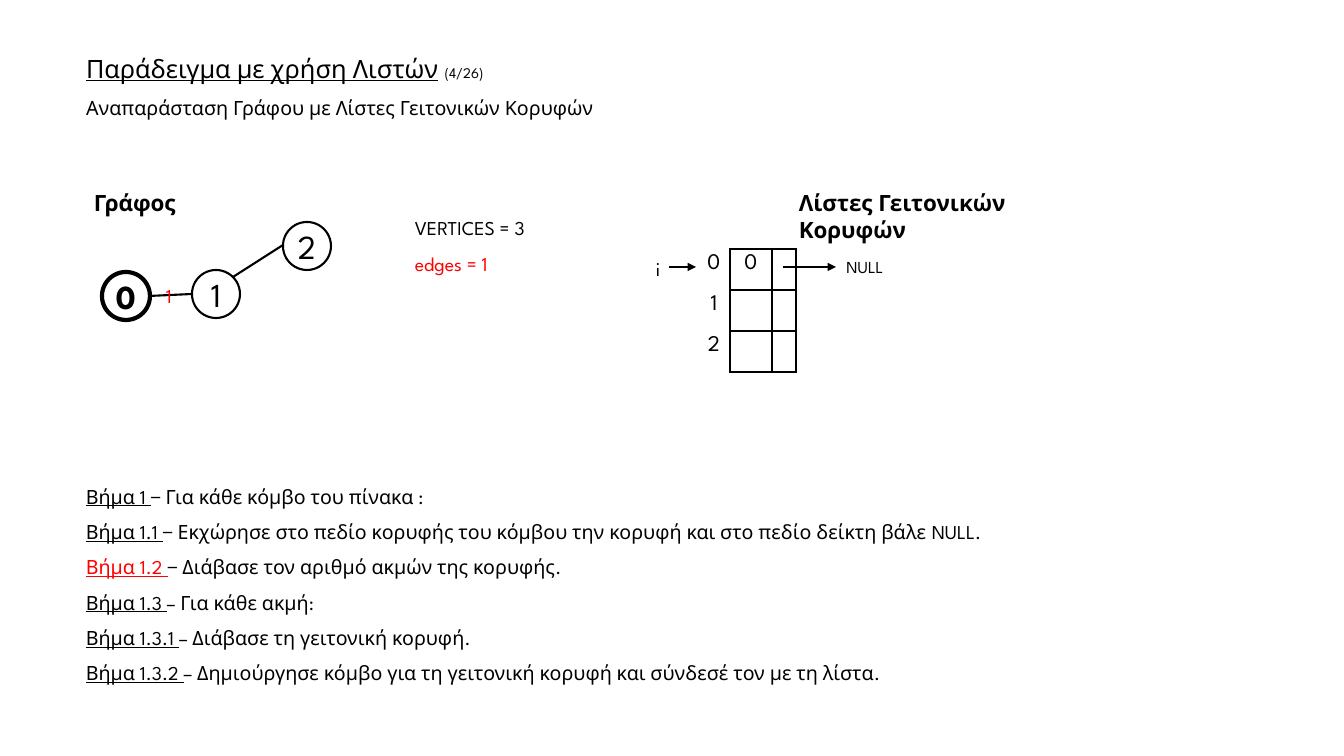
from pptx import Presentation
from pptx.util import Emu, Pt
from pptx.dml.color import RGBColor
from pptx.enum.shapes import MSO_CONNECTOR, MSO_SHAPE
from pptx.enum.text import MSO_ANCHOR, MSO_AUTO_SIZE, PP_ALIGN
from pptx.oxml import parse_xml
from pptx.oxml.ns import nsdecls
from pptx.oxml.xmlchemy import OxmlElement

PIXEL = 914400 / 100.8


class Theme:
    font = "League Spartan"
    ink, accent = "000000", "FF0000"
    title, counter, heading, body = 18, 10.5, 16, 14
    vertex, cell, null = 24, 16, 12
    thin, line, thick = 1, 1.5, 3


# Content: each paragraph is a list of (text, differences) spans
UNDER = {"underline": True}
TITLE = [
    (Theme.title, [("Παράδειγμα με χρήση Λιστών", UNDER), (" ", {}),
                   ("(4/26)", {"size": Theme.counter})]),
    (Theme.body, [("Αναπαράσταση Γράφου με Λίστες Γειτονικών Κορυφών", {})]),
]
STEPS = [
    ("Βήμα 1 ", "− Για κάθε κόμβο του πίνακα :"),
    ("Βήμα 1.1 ", "− Εκχώρησε στο πεδίο κορυφής του κόμβου την κορυφή "
                  "και στο πεδίο δείκτη βάλε NULL."),
    ("Βήμα 1.2 ", "− Διάβασε τον αριθμό ακμών της κορυφής."),
    ("Βήμα 1.3 ", "– Για κάθε ακμή:"),
    ("Βήμα 1.3.1 ", "– Διάβασε τη γειτονική κορυφή."),
    ("Βήμα 1.3.2 ", "– Δημιούργησε κόμβο για τη γειτονική κορυφή "
                    "και σύνδεσέ τον με τη λίστα."),
]
CURRENT_STEP = 2
# Labels: text, place, size, colour, bold, alignment
LABELS = [
    ("Γράφος", (84, 184, 109, 37), Theme.heading, Theme.ink, True, PP_ALIGN.LEFT),
    ("Λίστες Γειτονικών Κορυφών", (789, 184, 328, 37), Theme.heading, Theme.ink,
     True, PP_ALIGN.LEFT),
    ("1", (156, 279, 44, 34), Theme.body, Theme.accent, False, PP_ALIGN.LEFT),
    ("i", (646, 252, 25, 34), Theme.body, Theme.ink, False, PP_ALIGN.LEFT),
    ("NULL", (834, 252, 62, 30), Theme.null, Theme.ink, False, PP_ALIGN.CENTER),
]
COUNTS = [("VERTICES = 3", Theme.ink), ("edges = 1", Theme.accent)]
VERTEX_SIZE = 48
VERTICES = [("0", 102, 272, True), ("1", 192, 270, False), ("2", 283, 222, False)]
# Lines: start, end, arrowhead
LINES = [
    ((149, 296), (192, 294), False),
    ((233, 277), (283, 245), False),
    ((783, 267), (836, 267), True),
    ((669, 267), (696, 267), True),
]
LIST_ROWS = [("0", "0", ""), ("1", "", ""), ("2", "", "")]
LIST_AT, LIST_COLUMNS, ROW_HEIGHT = (698, 249), (32, 42, 24), 41


def px(*values):
    return [Emu(round(value * PIXEL)) for value in values]


def style(font, size=None, color=None, bold=None, underline=None):
    if size:
        font.size = Pt(size)
    if color:
        font.color.rgb = RGBColor.from_string(color)
    if bold is not None:
        font.bold = bold
    if underline is not None:
        font.underline = underline


def write(para, spans, size, color=Theme.ink, bold=False, align=PP_ALIGN.LEFT,
          spacing=None, before=None):
    para.alignment = align
    para.font.name = Theme.font
    style(para.font, size, color, bold)
    if spacing:
        para.line_spacing = spacing
    if before:
        para.space_before = Pt(before)
    for text, changes in spans:
        span = para.add_run()
        span.text = text
        style(span.font, **changes)


def paragraphs(frame, count):
    return [frame.paragraphs[0]] + [frame.add_paragraph() for _ in range(count - 1)]


def add_box(place):
    frame = page.shapes.add_textbox(*px(*place)).text_frame
    frame.word_wrap = True
    return frame


def add_border(properties, position, side, shown):
    paint = (f'<a:solidFill><a:srgbClr val="{Theme.ink}"/></a:solidFill>'
             if shown else "<a:noFill/>")
    properties.insert(position, parse_xml(
        f'<a:ln{side} {nsdecls("a")} w="{Pt(Theme.thin)}">{paint}</a:ln{side}>'))


deck = Presentation()
deck.slide_width, deck.slide_height = px(1344, 756)
page = deck.slides.add_slide(deck.slide_layouts[5])

# Title and subtitle
title = page.shapes.title
title.left, title.top, title.width, title.height = px(76, 52, 1192, 106)
frame = title.text_frame
frame.word_wrap = True
frame.auto_size = MSO_AUTO_SIZE.NONE
frame.vertical_anchor = MSO_ANCHOR.TOP
for para, (size, spans) in zip(paragraphs(frame, len(TITLE)), TITLE):
    write(para, spans, size, spacing=0.9, before=10)

# Algorithm steps
steps = paragraphs(add_box((76, 468, 1245, 220)), len(STEPS))
for index, (para, (name, action)) in enumerate(zip(steps, STEPS)):
    color = Theme.accent if index == CURRENT_STEP else Theme.ink
    write(para, [(name, {"underline": True, "color": color}), (action, {})],
          Theme.body, spacing=1.5)

# Graph edges and list arrows
for start, end, arrow in LINES:
    line = page.shapes.add_connector(MSO_CONNECTOR.STRAIGHT, *px(*start, *end))
    line.line.color.rgb = RGBColor.from_string(Theme.ink)
    line.line.width = Pt(Theme.line)
    if arrow:
        head = OxmlElement("a:tailEnd")
        head.set("type", "triangle")
        line.line._get_or_add_ln().append(head)
    line._element.spPr.append(OxmlElement("a:effectLst"))

# Graph vertices
for name, left, top, visited in VERTICES:
    vertex = page.shapes.add_shape(
        MSO_SHAPE.OVAL, *px(left, top, VERTEX_SIZE, VERTEX_SIZE))
    vertex.shadow.inherit = False
    vertex.fill.background()
    vertex.line.color.rgb = RGBColor.from_string(Theme.ink)
    vertex.line.width = Pt(Theme.thick if visited else Theme.line)
    frame = vertex.text_frame
    frame.margin_left = frame.margin_right = frame.margin_top = frame.margin_bottom = 0
    frame.vertical_anchor = MSO_ANCHOR.MIDDLE
    write(frame.paragraphs[0], [(name, {})], Theme.vertex, bold=visited,
          align=PP_ALIGN.CENTER)

# Headings and small labels
for text, place, size, color, bold, align in LABELS:
    write(add_box(place).paragraphs[0], [(text, {})], size, color, bold, align)

# Vertex and edge counts
counts = paragraphs(add_box((405, 214, 224, 154)), len(COUNTS))
for para, (text, color) in zip(counts, COUNTS):
    write(para, [(text, {})], Theme.body, color, spacing=0.9, before=10)

# Adjacency list table: the index column has no frame of its own
place = (*LIST_AT, sum(LIST_COLUMNS), ROW_HEIGHT * len(LIST_ROWS))
table = page.shapes.add_table(len(LIST_ROWS), len(LIST_COLUMNS), *px(*place)).table
table.first_row = table.horz_banding = False
for column, width in zip(table.columns, px(*LIST_COLUMNS)):
    column.width = width
for row_index, values in enumerate(LIST_ROWS):
    table.rows[row_index].height = px(ROW_HEIGHT)[0]
    for column_index, value in enumerate(values):
        cell = table.cell(row_index, column_index)
        cell.margin_left = cell.margin_right = 0
        cell.fill.background()
        write(cell.text_frame.paragraphs[0], [(value, {})] if value else [],
              Theme.cell, align=PP_ALIGN.CENTER)
        for position, side in enumerate("LRTB"):
            add_border(cell._tc.get_or_add_tcPr(), position, side,
                       column_index > 0 or side == "R")

deck.save("out.pptx")
